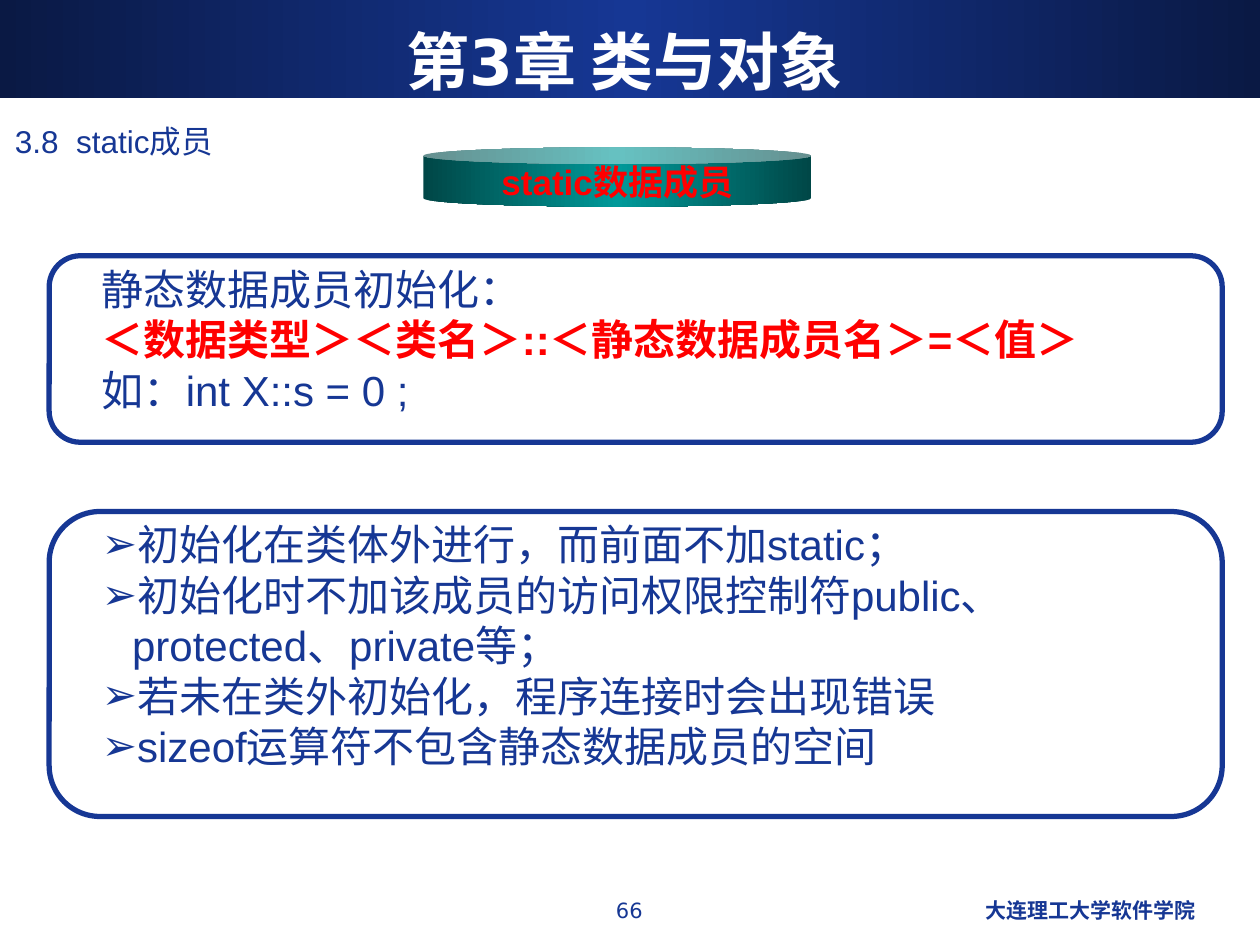
from copy import deepcopy
from dataclasses import dataclass

from lxml.etree import SubElement
from pptx import Presentation
from pptx.dml.color import RGBColor
from pptx.enum.shapes import MSO_SHAPE
from pptx.enum.text import MSO_ANCHOR, PP_ALIGN
from pptx.oxml.ns import qn
from pptx.util import Inches, Pt

COLORS = {
    "navy": "163794",
    "dark_navy": "0A1944",
    "teal": "009999",
    "dark_teal": "004747",
    "red": "FF0000",
    "white": "FFFFFF",
}
HANGING = Inches(0.24)


@dataclass
class Line:
    text: str
    size: int
    color: str = "navy"
    bold: bool = False
    font: str = "Arial"
    align: PP_ALIGN = PP_ALIGN.LEFT
    bullet: str = ""


@dataclass
class Label:
    box: tuple[float, float, float, float]
    line: Line
    anchor: MSO_ANCHOR = MSO_ANCHOR.TOP


@dataclass
class Panel:
    top: float
    height: float
    text_height: float
    lines: list[Line]


LABELS = [
    Label((3.83, 7.07, 2.33, 0.35),
          Line("66", 12, font="DejaVu Sans", align=PP_ALIGN.CENTER)),
    Label((6.42, 7.07, 3.17, 0.35),
          Line("大连理工大学软件学院", 12, bold=True, font="DejaVu Sans", align=PP_ALIGN.RIGHT)),
    Label((0.02, 0.92, 9.25, 0.33), Line("3.8  static成员", 18)),
    Label((0.33, 0.17, 9.25, 0.62),
          Line("第3章 类与对象", 36, "white", True, "DejaVu Sans", PP_ALIGN.CENTER),
          MSO_ANCHOR.MIDDLE),
]

PANELS = [
    Panel(2.03, 1.48, 1.7, [
        Line("静态数据成员初始化：", 24),
        Line("＜数据类型＞＜类名＞::＜静态数据成员名＞=＜值＞", 24, "red", True),
        Line("如：int X::s = 0 ;", 24),
    ]),
    Panel(4.06, 2.42, 2.1, [
        Line(rule, 24, bullet="➢")
        for rule in (
            "初始化在类体外进行，而前面不加static；",
            "初始化时不加该成员的访问权限控制符public、protected、private等；",
            "若未在类外初始化，程序连接时会出现错误",
            "sizeof运算符不包含静态数据成员的空间",
        )
    ]),
]


def rgb(name: str) -> RGBColor:
    return RGBColor.from_string(COLORS[name])


def add_bullet(paragraph, mark: str) -> None:
    properties = paragraph._p.get_or_add_pPr()
    properties.set("marL", str(HANGING))
    properties.set("indent", str(-HANGING))
    color = SubElement(properties, qn("a:buClr"))
    SubElement(color, qn("a:srgbClr"), val=COLORS["navy"])
    SubElement(properties, qn("a:buFont"), typeface="Arial")
    SubElement(properties, qn("a:buChar"), char=mark)


def write_lines(frame, lines: list[Line]) -> None:
    for index, line in enumerate(lines):
        paragraph = frame.add_paragraph() if index else frame.paragraphs[0]
        paragraph.text = line.text
        paragraph.alignment = line.align
        if line.bullet:
            add_bullet(paragraph, line.bullet)
        font = paragraph.font
        font.name, font.size, font.bold = line.font, Pt(line.size), line.bold
        font.color.rgb = rgb(line.color)


def add_text(slide, box: tuple, lines: list[Line], anchor=MSO_ANCHOR.TOP) -> None:
    frame = slide.shapes.add_textbox(*map(Inches, box)).text_frame
    frame.word_wrap = True
    frame.vertical_anchor = anchor
    write_lines(frame, lines)


def add_glowing_shape(slide, kind: MSO_SHAPE, box: tuple, edge: str, middle: str):
    """Add a shape shaded horizontally from edge through middle and back to edge."""
    shape = slide.shapes.add_shape(kind, *map(Inches, box))
    shape.shadow.inherit = False
    shape.line.fill.background()
    shape.fill.gradient()
    shape.fill.gradient_angle = 0
    stop_list = shape._element.spPr.find(".//" + qn("a:gsLst"))
    stop_list.append(deepcopy(stop_list[0]))
    for stop, position, color in zip(shape.fill.gradient_stops, (0, 0.5, 1), (edge, middle, edge)):
        stop.position = position
        stop.color.rgb = rgb(color)
    return shape


def add_panel(slide, panel: Panel) -> None:
    outline = slide.shapes.add_shape(
        MSO_SHAPE.ROUNDED_RECTANGLE,
        Inches(0.39), Inches(panel.top), Inches(9.31), Inches(panel.height))
    outline.shadow.inherit = False
    outline.fill.background()
    outline.line.color.rgb = rgb("navy")
    outline.line.width = Pt(3)
    add_text(slide, (0.71, panel.top + 0.01, 9.05, panel.text_height), panel.lines)


def main() -> None:
    presentation = Presentation()
    presentation.slide_width, presentation.slide_height = Inches(10), Inches(7.5)
    slide = presentation.slides.add_slide(presentation.slide_layouts[6])

    add_glowing_shape(slide, MSO_SHAPE.RECTANGLE, (0, 0, 10, 0.78), "dark_navy", "navy")
    for label in LABELS:
        add_text(slide, label.box, [label.line], label.anchor)

    topic = add_glowing_shape(slide, MSO_SHAPE.CAN, (3.36, 1.17, 3.08, 0.47), "dark_teal", "teal")
    topic.adjustments[0] = 0.28
    topic.text_frame.word_wrap = False
    topic.text_frame.vertical_anchor = MSO_ANCHOR.MIDDLE
    write_lines(topic.text_frame,
                [Line("static数据成员", 20, "red", True, align=PP_ALIGN.CENTER)])

    for panel in PANELS:
        add_panel(slide, panel)
    presentation.save("out.pptx")


if __name__ == "__main__":
    main()
